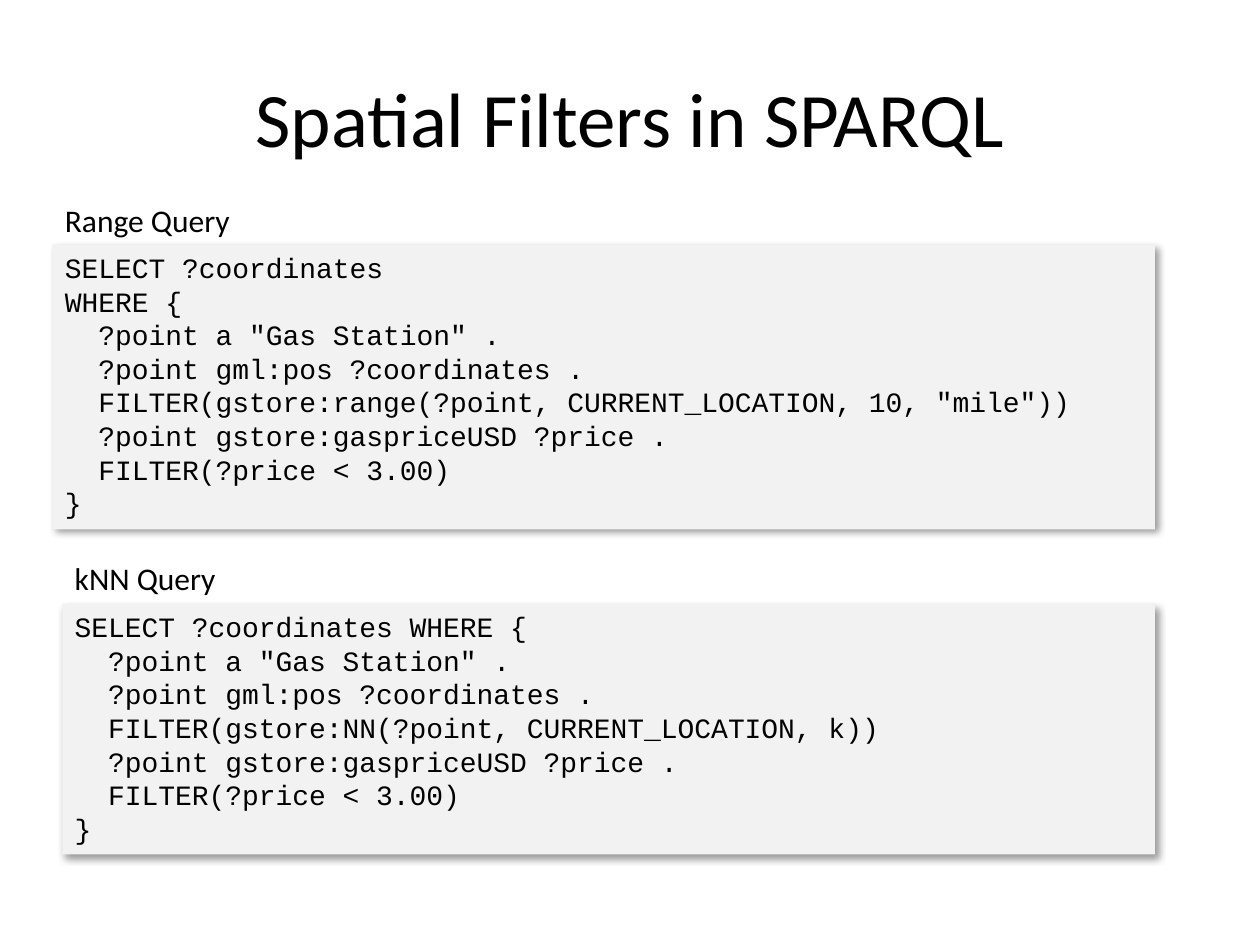
from dataclasses import dataclass

from lxml import etree
from pptx import Presentation
from pptx.dml.color import RGBColor
from pptx.enum import shapes, text
from pptx.oxml.ns import qn
from pptx.util import Pt

BLACK = RGBColor(0, 0, 0)
GREY = RGBColor(0xF2, 0xF2, 0xF2)
RIGHT = 660  # shared right edge of the code panels


@dataclass
class Query:
    name: str
    left: float
    top: float
    width: float  # of the label
    gap: float  # from label top to panel top
    height: float  # of the panel
    code: str


QUERIES = [
    Query("Range Query", 30, 111.4, 110, 28.3, 162.8, """\
SELECT ?coordinates
WHERE {
  ?point a "Gas Station" .
  ?point gml:pos ?coordinates .
  FILTER(gstore:range(?point, CURRENT_LOCATION, 10, "mile"))
  ?point gstore:gaspriceUSD ?price .
  FILTER(?price < 3.00)
}"""),
    Query("kNN Query", 35.6, 315.6, 96, 29.3, 143.4, """\
SELECT ?coordinates WHERE {
  ?point a "Gas Station" .
  ?point gml:pos ?coordinates .
  FILTER(gstore:NN(?point, CURRENT_LOCATION, k))
  ?point gstore:gaspriceUSD ?price .
  FILTER(?price < 3.00)
}"""),
]


def style(frame, font: str, size: float, align=text.PP_ALIGN.LEFT) -> None:
    for para in frame.paragraphs:
        para.alignment = align
        for run in para.runs:
            run.font.name = font
            run.font.size = Pt(size)
            run.font.color.rgb = BLACK


def add_shadow(shape) -> None:
    shape.shadow.inherit = False
    effects = shape._element.spPr.find(qn("a:effectLst"))
    outer = etree.SubElement(
        effects, qn("a:outerShdw"), blurRad=str(Pt(4)), dist=str(Pt(3)),
        dir="2700000", algn="tl", rotWithShape="0")
    color = etree.SubElement(outer, qn("a:srgbClr"), val=str(BLACK))
    etree.SubElement(color, qn("a:alpha"), val="40000")


def add_panel(slide, query: Query) -> None:
    panel = slide.shapes.add_shape(
        shapes.MSO_SHAPE.RECTANGLE, Pt(query.left), Pt(query.top + query.gap),
        Pt(RIGHT - query.left), Pt(query.height))
    panel.fill.solid()
    panel.fill.fore_color.rgb = GREY
    panel.line.fill.background()
    add_shadow(panel)
    frame = panel.text_frame
    frame.text = query.code
    frame.word_wrap = True
    frame.auto_size = text.MSO_AUTO_SIZE.SHAPE_TO_FIT_TEXT
    frame.vertical_anchor = text.MSO_ANCHOR.TOP
    style(frame, "Courier New", 16)


def add_label(slide, query: Query) -> None:
    label = slide.shapes.add_textbox(
        Pt(query.left), Pt(query.top), Pt(query.width), Pt(29))
    frame = label.text_frame
    frame.text = query.name
    frame.word_wrap = False
    frame.auto_size = text.MSO_AUTO_SIZE.SHAPE_TO_FIT_TEXT
    style(frame, "Calibri", 18)


def main() -> None:
    deck = Presentation()
    deck.slide_width, deck.slide_height = Pt(720), Pt(540)
    slide = deck.slides.add_slide(deck.slide_layouts[5])
    title = slide.shapes.title
    title.left, title.top = Pt(36), Pt(21.6)
    title.width, title.height = Pt(648), Pt(90)
    title.text_frame.text = "Spatial Filters in SPARQL"
    title.text_frame.vertical_anchor = text.MSO_ANCHOR.MIDDLE
    style(title.text_frame, "Calibri", 44, text.PP_ALIGN.CENTER)
    for query in QUERIES:
        add_panel(slide, query)
        add_label(slide, query)
    deck.save("out.pptx")


if __name__ == "__main__":
    main()
